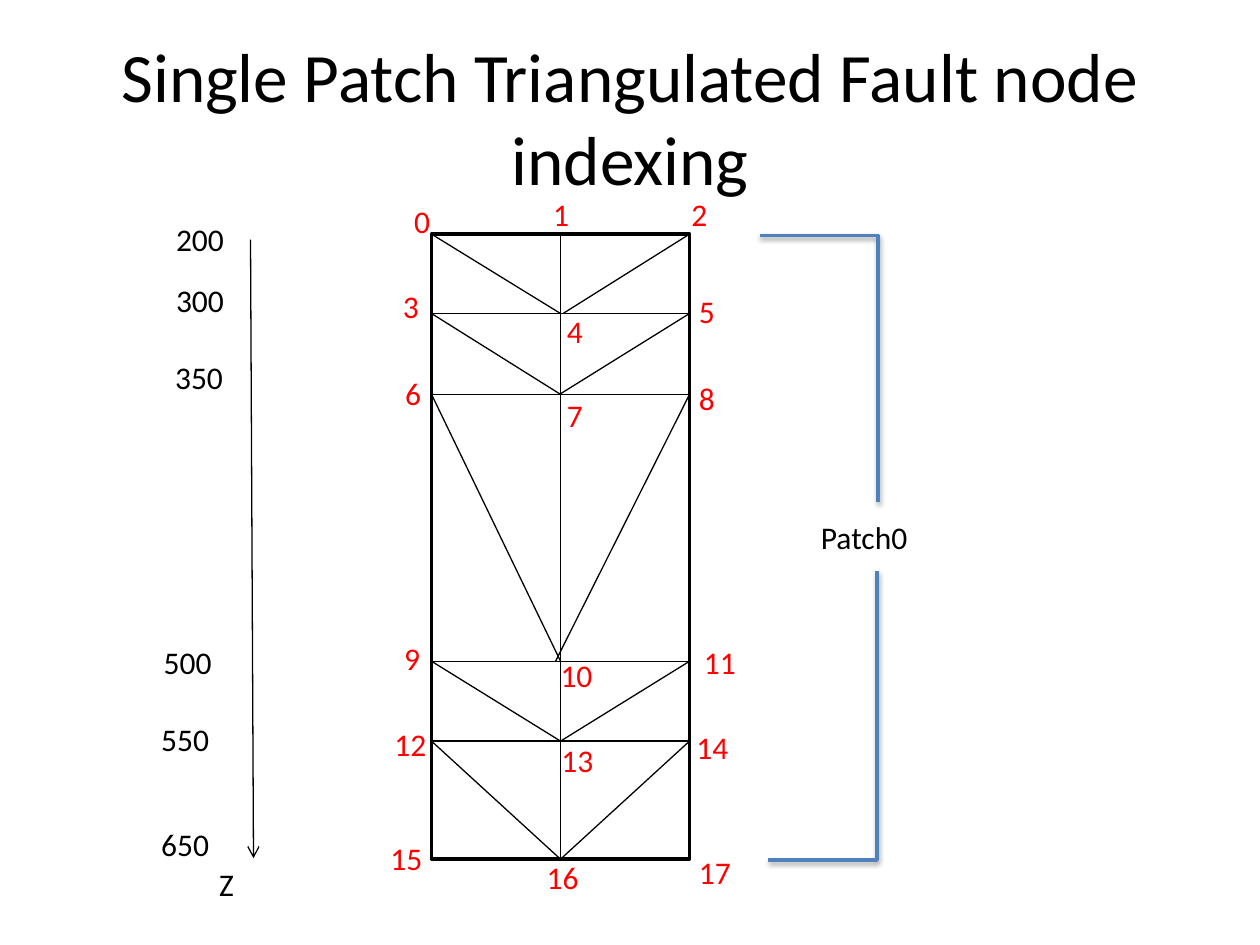
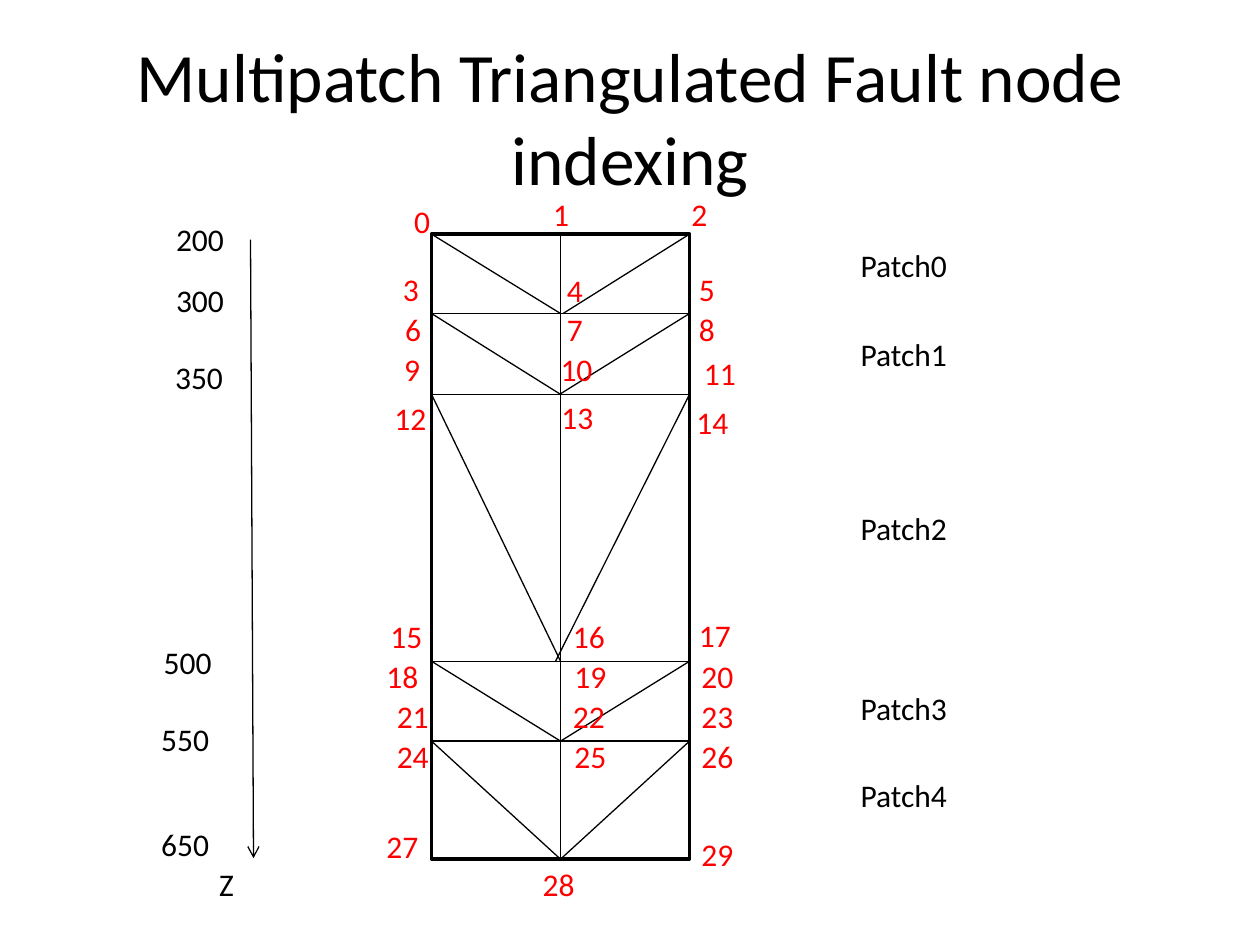
from itertools import pairwise

from lxml import etree
from pptx import Presentation
from pptx.dml.color import RGBColor
from pptx.enum.shapes import MSO_CONNECTOR, MSO_SHAPE
from pptx.enum.text import MSO_ANCHOR, MSO_AUTO_SIZE, PP_ALIGN
from pptx.oxml.ns import qn
from pptx.util import Cm, Pt

STRAIGHT, ELBOW = MSO_CONNECTOR.STRAIGHT, MSO_CONNECTOR.ELBOW
RECTANGLE = MSO_SHAPE.RECTANGLE
MIDDLE, CENTER = MSO_ANCHOR.MIDDLE, PP_ALIGN.CENTER
GROW = MSO_AUTO_SIZE.SHAPE_TO_FIT_TEXT
TOP_SIDE, BOTTOM_SIDE = 0, 2

BLACK, WHITE, RED, BLUE = "000000", "FFFFFF", "FF0000", "4F81BD"
FONT = "Calibri"
LABEL_HEIGHT = 1.02
LABEL_WIDTHS = {1: 0.84, 2: 1.17, 3: 1.5}
PATCH_WIDTH = 3.6

# Fault mesh, in cm
LEFT, MIDDLE_X, RIGHT = 8.7, 11.3, 13.9
LEVELS = [4.72, 6.32, 7.95, 13.33, 14.94, 17.32]
RIGHT_DIAGONAL_ENDS = [11.35, 11.28, 11.2, 11.3, 11.3]

DEPTHS = {
    "Z": (4.17, 17.32), "200": (3.3, 4.32), "300": (3.3, 5.54),
    "350": (3.28, 7.09), "500": (3.05, 12.83), "550": (3, 14.4),
    "650": (3, 16.51),
}

# Node label positions, numbered from 0, three to a row
TOP_NODES = [(8.1, 3.94), (10.9, 3.81), (13.69, 3.81)]
SINGLE_PATCH_NODES = TOP_NODES + [
    (7.87, 5.66), (11.18, 6.17), (13.84, 5.77),
    (7.92, 7.42), (11.18, 7.85), (13.84, 7.52),
    (7.9, 12.75), (11.05, 13.11), (13.94, 12.83),
    (7.7, 14.5), (11.07, 14.81), (13.79, 14.55),
    (7.62, 16.79), (10.77, 17.17), (13.84, 17.07),
]
MULTIPATCH_NODES = TOP_NODES + [
    (7.87, 5.31), (11.18, 5.33), (13.84, 5.31),
    (7.92, 6.12), (11.18, 6.12), (13.84, 6.12),
    (7.9, 6.93), (11.05, 6.93), (13.94, 7.01),
    (7.7, 7.92), (11.07, 7.9), (13.79, 8),
    (7.62, 12.32), (11.3, 12.32), (13.84, 12.29),
    (7.54, 13.13), (11.33, 13.13), (13.89, 13.13),
    (7.75, 13.92), (11.3, 13.92), (13.89, 13.92),
    (7.75, 14.73), (11.33, 14.73), (13.89, 14.73),
    (7.54, 16.54), (10.69, 17.32), (13.89, 16.71),
]
PATCH_TOPS = [4.83, 6.63, 10.13, 13.77, 15.52]


def color(hex_code):
    return RGBColor.from_string(hex_code)


def set_attributes(target, values):
    for name, value in values.items():
        setattr(target, name, value)


def add_text(slide, text, box, hex_code=BLACK, size=18, alignment=None, **frame_format):
    shape = slide.shapes.add_textbox(*map(Cm, box))
    set_attributes(shape.text_frame, frame_format)
    paragraph = shape.text_frame.paragraphs[0]
    paragraph.alignment = alignment
    run = paragraph.add_run()
    run.text = text
    set_attributes(run.font, {"name": FONT, "size": Pt(size)})
    run.font.color.rgb = color(hex_code)


def add_title(slide, text):
    add_text(slide, text, (1.27, 0.76, 22.86, 3.18), size=39.6, alignment=CENTER,
             word_wrap=True, vertical_anchor=MIDDLE)


def add_label(slide, text, position, hex_code=BLACK):
    add_text(slide, text, (*position, LABEL_WIDTHS[len(text)], LABEL_HEIGHT), hex_code,
             word_wrap=False, auto_size=GROW)


def add_patch_name(slide, number, left, top):
    add_text(slide, f"Patch{number}", (left, top, PATCH_WIDTH, LABEL_HEIGHT),
             word_wrap=True, auto_size=GROW)


def add_line(slide, start, end, hex_code=BLACK, width=0.75, kind=STRAIGHT):
    """Draw a connector and return it with its empty effect list."""
    line = slide.shapes.add_connector(kind, *map(Cm, (*start, *end)))
    line.line.color.rgb = color(hex_code)
    line.line.width = Pt(width)
    effects = etree.SubElement(line._element.spPr, qn("a:effectLst"))
    return line, effects


def add_bracket_arm(slide, start, end):
    """Draw a shadowed elbow that runs across first, then up or down."""
    arm, effects = add_line(slide, start, end, BLUE, 2, ELBOW)
    adjustments = arm._element.spPr.find(qn("a:prstGeom")).get_or_add_avLst()
    etree.SubElement(adjustments, qn("a:gd"), name="adj1", fmla="val 100000")
    shadow = etree.SubElement(effects, qn("a:outerShdw"), blurRad=str(Pt(3.1)),
                              dist=str(Pt(1.6)), dir="5400000", rotWithShape="0")
    shade = etree.SubElement(shadow, qn("a:srgbClr"), val=BLACK)
    etree.SubElement(shade, qn("a:alpha"), val="38000")


def add_mesh(slide):
    top, bottom = LEVELS[0], LEVELS[-1]
    outline = slide.shapes.add_shape(
        RECTANGLE, *map(Cm, (LEFT, top, RIGHT - LEFT, bottom - top)))
    outline.shadow.inherit = False
    outline.fill.solid()
    outline.fill.fore_color.rgb = color(WHITE)
    outline.line.color.rgb = color(BLACK)
    outline.line.width = Pt(2)

    for level in LEVELS[1:-1]:
        add_line(slide, (LEFT, level), (RIGHT, level))
    center_line, _ = add_line(slide, (MIDDLE_X, top), (MIDDLE_X, bottom))
    center_line.begin_connect(outline, TOP_SIDE)
    center_line.end_connect(outline, BOTTOM_SIDE)

    for (upper, lower), right_end in zip(pairwise(LEVELS), RIGHT_DIAGONAL_ENDS):
        for side, end in ((LEFT, MIDDLE_X), (RIGHT, right_end)):
            diagonal, _ = add_line(slide, (side, upper), (end, lower))
            if lower == bottom:
                diagonal.end_connect(outline, BOTTOM_SIDE)


def add_depth_axis(slide):
    axis, _ = add_line(slide, (5.05, 4.83), (5.11, 17.3))
    etree.SubElement(axis.line._get_or_add_ln(), qn("a:tailEnd"), type="arrow")
    for text, position in DEPTHS.items():
        add_label(slide, text, position)


def add_fault_slide(presentation, title, nodes):
    slide = presentation.slides.add_slide(presentation.slide_layouts[6])
    add_title(slide, title)
    add_mesh(slide)
    add_depth_axis(slide)
    for number, position in enumerate(nodes):
        add_label(slide, str(number), position, RED)
    return slide


def main():
    presentation = Presentation()
    presentation.slide_width, presentation.slide_height = Cm(25.4), Cm(19.05)

    single = add_fault_slide(
        presentation, "Single Patch Triangulated Fault node indexing", SINGLE_PATCH_NODES)
    add_patch_name(single, 0, 16.3, 10.31)
    add_bracket_arm(single, (15.32, 4.75), (17.7, 10.13))
    add_bracket_arm(single, (15.49, 17.34), (17.68, 11.51))

    multiple = add_fault_slide(
        presentation, "Multipatch Triangulated Fault node indexing", MULTIPATCH_NODES)
    for number, top in enumerate(PATCH_TOPS):
        add_patch_name(multiple, number, 17.1, top)

    presentation.save("out.pptx")


if __name__ == "__main__":
    main()
